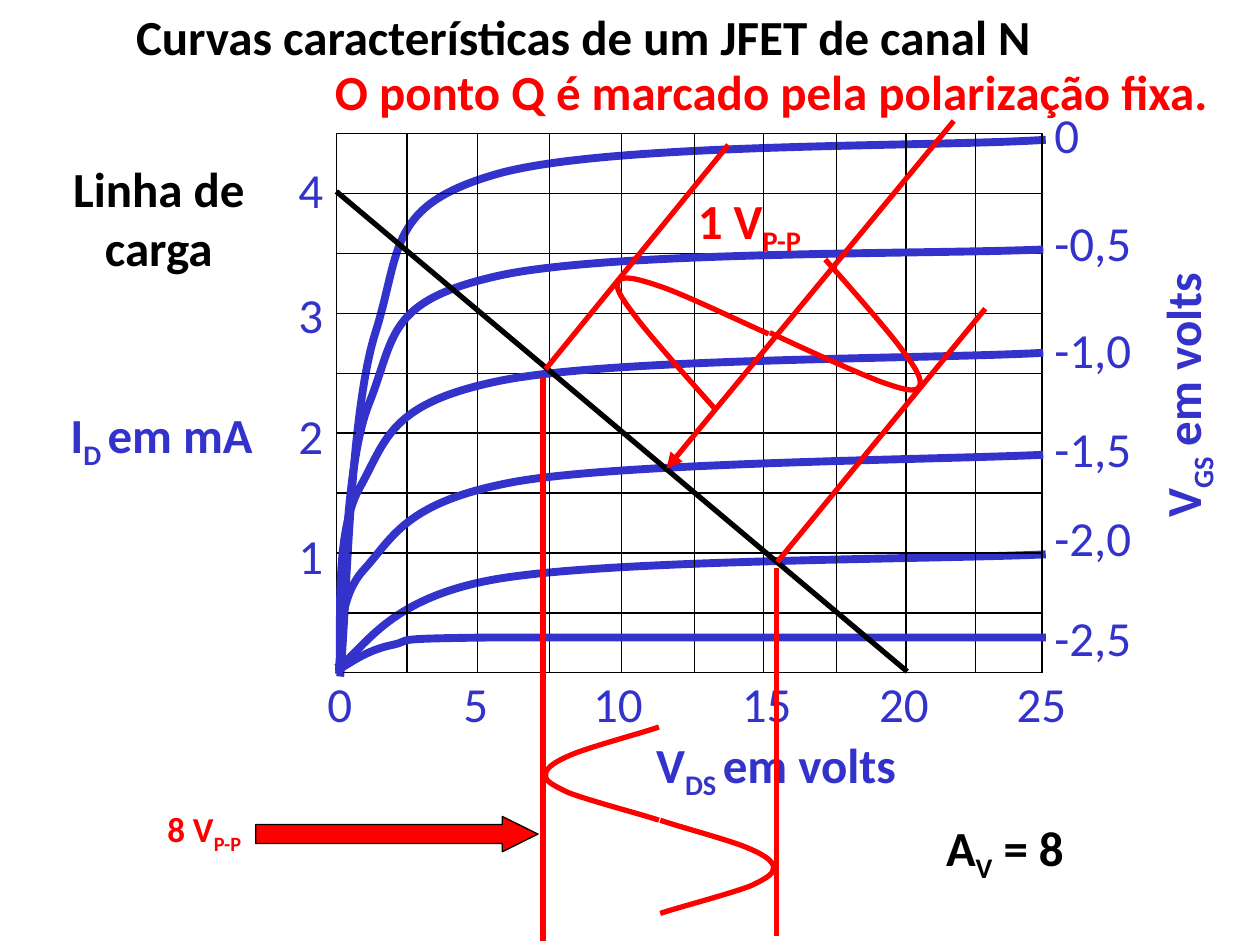
from lxml.etree import SubElement
from pptx import Presentation
from pptx.dml.color import RGBColor
from pptx.enum.shapes import MSO_CONNECTOR, MSO_SHAPE
from pptx.enum.text import MSO_ANCHOR, MSO_AUTO_SIZE, PP_ALIGN
from pptx.oxml.ns import qn
from pptx.util import Inches, Pt

COLORS = {"blue": "3333CC", "red": "FF0000", "black": "000000"}
FONT = "Calibri"
LABEL_H = 0.57

TITLE = ("Curvas características de um JFET de canal N", 0.98, 0, 7.48)

ID_TICKS = [("4", 1.22), ("3", 2.21), ("2", 3.17), ("1", 4.12)]
VDS_TICKS = [("0", 2.5, 0.4), ("5", 3.58, 0.4), ("10", 4.61, 0.6),
             ("15", 5.79, 0.6), ("20", 6.88, 0.6), ("25", 7.97, 0.6)]
VGS_TICKS = [("0", 0.78, 0.4), ("-0,5", 1.64, 0.82), ("-1,0", 2.49, 0.82),
             ("-1,5", 3.27, 0.82), ("-2,0", 3.98, 0.82), ("-2,5", 4.77, 0.82)]

# Text between underscores is subscript: text, left, top, width, height, colour, size, rotation
LABELS = [
    ("V_DS _em volts", 5.11, 5.78, 2.17, LABEL_H, "blue", 28, 0),
    ("I_D _em mA", 0.46, 3.16, 1.7, LABEL_H, "blue", 28, 0),
    ("V_GS_ em volts", 8.28, 2.82, 2.2, LABEL_H, "blue", 28, 270),
    ("Linha de\ncarga", 0.47, 1.21, 1.58, 1.51, "black", 28, 0),
    ("O ponto Q é marcado pela polarização fixa.", 2.56, 0.44, 7.21, LABEL_H, "red", 28, 0),
    ("8 V_P-P_", 1.23, 6.36, 0.83, 0.44, "red", 20, 0),
    ("1 V_P-P_", 5.44, 1.46, 1.08, LABEL_H, "red", 28, 0),
    ("A_V_ = 8", 7.41, 6.44, 1.15, LABEL_H, "black", 28, 0),
]

LEFT, RIGHT, TOP, BOTTOM = 2.67, 8.28, 1.06, 5.34
GRID_X = [2.67, 3.23, 3.79, 4.36, 4.93, 5.51, 6.06, 6.64, 7.19, 7.74, 8.27]
GRID_ROWS = 9

# Start point, then three Bézier points per segment
BACK_CURVES = [
    [(2.67, 5.3), (2.89, 5.18), (3.04, 4.74), (3.98, 4.59), (4.92, 4.44), (7.4, 4.44), (8.3, 4.4)],
    [(2.7, 5.37), (2.75, 4.91), (2.77, 3.3), (2.98, 2.64), (3.19, 1.97), (3.07, 1.63),
     (3.95, 1.38), (4.84, 1.13), (7.39, 1.17), (8.3, 1.11)],
]
FRONT_CURVES = [
    [(2.69, 5.33), (2.73, 4.98), (2.72, 3.72), (2.93, 3.2), (3.14, 2.67), (3.06, 2.39),
     (3.95, 2.19), (4.84, 1.99), (7.38, 2.02), (8.28, 1.98)],
    [(2.69, 5.32), (2.72, 5.08), (2.64, 4.26), (2.85, 3.88), (3.07, 3.49), (3.08, 3.2),
     (3.98, 3.02), (4.89, 2.84), (7.38, 2.85), (8.28, 2.8)],
    [(2.69, 5.35), (2.72, 5.21), (2.65, 4.78), (2.89, 4.52), (3.12, 4.27), (3.21, 3.98),
     (4.11, 3.82), (5.01, 3.67), (7.41, 3.65), (8.28, 3.61)],
    [(2.71, 5.3), (2.77, 5.27), (2.91, 5.16), (3.11, 5.12), (3.3, 5.08), (3.03, 5.07),
     (3.9, 5.06), (4.76, 5.06), (7.38, 5.06), (8.3, 5.06)],
]
INPUT_WAVE = [
    [(6.1, 2.65), (5.96, 2.59), (5.46, 2.35), (5.26, 2.28), (5.06, 2.21), (4.96, 2.19),
     (4.92, 2.22), (4.88, 2.26), (4.89, 2.31), (5.02, 2.48), (5.14, 2.65), (5.53, 3.08), (5.67, 3.24)],
    [(6.55, 2.06), (6.65, 2.17), (7.02, 2.59), (7.14, 2.75), (7.27, 2.92), (7.32, 3.01),
     (7.3, 3.06), (7.28, 3.11), (7.22, 3.11), (7.02, 3.04), (6.82, 2.97), (6.3, 2.73), (6.11, 2.64)],
]
OUTPUT_WAVE = [
    [(5.24, 6.51), (5.35, 6.55), (5.76, 6.66), (5.91, 6.72), (6.06, 6.78), (6.13, 6.83),
     (6.14, 6.88), (6.14, 6.93), (6.11, 6.96), (5.96, 7.03), (5.81, 7.09), (5.39, 7.2), (5.24, 7.25)],
    [(5.23, 5.77), (5.12, 5.81), (4.71, 5.92), (4.56, 5.98), (4.41, 6.04), (4.34, 6.09),
     (4.33, 6.14), (4.32, 6.19), (4.36, 6.22), (4.51, 6.29), (4.66, 6.35), (5.08, 6.46), (5.23, 6.51)],
]
LOAD_LINE = (2.67, 1.52, 7.2, 5.33)
Q_LINE = (5.29, 3.72, 7.57, 0.96)
PROJECTIONS = [(6.17, 4.46, 7.82, 2.45), (4.33, 2.93, 5.78, 1.15),
               (4.31, 3, 4.31, 7.47), (6.16, 4.51, 6.16, 7.43)]


def rgb(name):
    return RGBColor.from_string(COLORS[name])


def write(tf, text, color, size=28, bold=False, align=PP_ALIGN.LEFT):
    tf.word_wrap = False
    tf.auto_size = MSO_AUTO_SIZE.SHAPE_TO_FIT_TEXT
    tf.vertical_anchor = MSO_ANCHOR.TOP
    for i, line in enumerate(text.split("\n")):
        p = tf.add_paragraph() if i else tf.paragraphs[0]
        p.alignment = align
        for j, part in enumerate(line.split("_")):
            if not part:
                continue
            r = p.add_run()
            r.text = part
            r.font.name, r.font.size, r.font.bold = FONT, Pt(size), bold
            r.font.color.rgb = rgb(color)
            if j % 2:
                r._r.get_or_add_rPr().set("baseline", "-25000")


def add_label(shapes, text, x, y, w, h, color, size=28, rotation=0, bold=True):
    sp = shapes.add_textbox(Inches(x), Inches(y), Inches(w), Inches(h))
    sp.rotation = rotation
    align = PP_ALIGN.CENTER if "\n" in text else PP_ALIGN.LEFT
    write(sp.text_frame, text, color, size, bold, align)


def add_line(shapes, ends, color, width):
    c = shapes.add_connector(MSO_CONNECTOR.STRAIGHT, *map(Inches, ends))
    c.line.color.rgb = rgb(color)
    c.line.width = Pt(width)
    SubElement(c._element.spPr, qn("a:effectLst"))
    return c


def add_curve(shapes, points, color, width):
    start, *rest = [(Inches(x), Inches(y)) for x, y in points]
    builder = shapes.build_freeform(*start)
    builder.add_line_segments(rest, close=False)
    sp = builder.convert_to_shape()
    steps = list(sp._element.iter(qn("a:lnTo")))
    outline = steps[0].getparent()
    for i in range(0, len(steps), 3):
        bezier = SubElement(outline, qn("a:cubicBezTo"))
        for step in steps[i:i + 3]:
            bezier.append(step[0])
            outline.remove(step)
    sp.fill.background()
    sp.line.color.rgb = rgb(color)
    sp.line.width = Pt(width)
    sp.shadow.inherit = False


def main():
    """Build the JFET characteristic curves slide."""
    prs = Presentation()
    prs.slide_width, prs.slide_height = Inches(10), Inches(7.5)
    s = prs.slides.add_slide(prs.slide_layouts[5])
    shapes = s.shapes

    text, x, y, w = TITLE
    title = shapes.title
    title.left, title.top, title.width, title.height = map(Inches, (x, y, w, LABEL_H))
    write(title.text_frame, text, "black", bold=True)

    for points in BACK_CURVES:
        add_curve(shapes, points, "blue", 4.5)
    for x in GRID_X:
        add_line(shapes, (x, TOP, x, BOTTOM), "black", 0.75)
    for i in range(GRID_ROWS + 1):
        y = TOP + i * (BOTTOM - TOP) / GRID_ROWS
        add_line(shapes, (LEFT, y, RIGHT, y), "black", 0.75)
    for points in FRONT_CURVES:
        add_curve(shapes, points, "blue", 4.5)

    ticks = [(t, 2.27, y, 0.4) for t, y in ID_TICKS]
    ticks += [(t, x, 5.3, w) for t, x, w in VDS_TICKS]
    ticks += [(t, 8.27, y, w) for t, y, w in VGS_TICKS]
    for tick in ticks:
        add_label(shapes, *tick, LABEL_H, "blue", bold=False)
    for label in LABELS:
        add_label(shapes, *label)

    add_line(shapes, LOAD_LINE, "black", 3)
    for wave in (INPUT_WAVE, OUTPUT_WAVE):
        group = shapes.add_group_shape()
        for points in wave:
            add_curve(group.shapes, points, "red", 3)
    q_line = add_line(shapes, Q_LINE, "red", 3)
    SubElement(q_line.line._get_or_add_ln(), qn("a:headEnd"), type="triangle")
    for ends in PROJECTIONS:
        add_line(shapes, ends, "red", 3)

    arrow = shapes.add_shape(MSO_SHAPE.RIGHT_ARROW, *map(Inches, (2.03, 6.48, 2.24, 0.28)))
    arrow.adjustments[0], arrow.adjustments[1] = 0.54, 1.01
    arrow.fill.solid()
    arrow.fill.fore_color.rgb = rgb("red")
    arrow.line.color.rgb = rgb("black")
    arrow.line.width = Pt(0.75)
    arrow.shadow.inherit = False

    prs.save("out.pptx")


if __name__ == "__main__":
    main()
